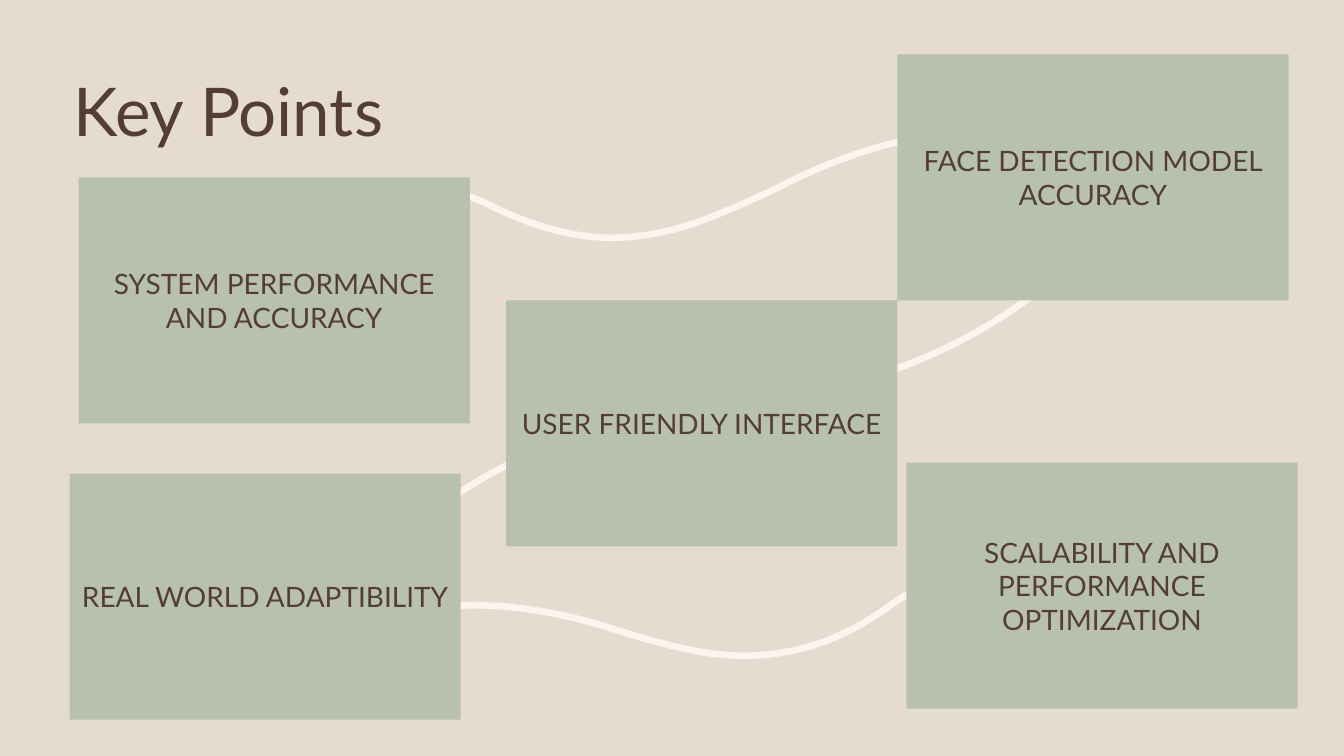
"""Build the Key Points slide: five cards linked by flowing curves."""
from pptx import Presentation
from pptx.dml.color import RGBColor
from pptx.enum.shapes import MSO_SHAPE as SHAPE
from pptx.enum.text import MSO_ANCHOR as ANCHOR, PP_ALIGN as ALIGN
from pptx.oxml.ns import qn
from pptx.util import Inches, Pt
from lxml.etree import SubElement

TITLE = "Key Points"
CARDS = [
    ("SYSTEM PERFORMANCE AND ACCURACY", 0.78, 1.76),
    ("FACE DETECTION MODEL ACCURACY", 8.9, 0.54),
    ("USER FRIENDLY INTERFACE", 5.02, 2.98),
    ("REAL WORLD ADAPTIBILITY", 0.69, 4.7),
    ("SCALABILITY AND PERFORMANCE OPTIMIZATION", 8.99, 4.59),
]
CARD_W, CARD_H = 3.88, 2.44
CURVES = [
    [(8.33, 3.83), (9.13, 3.63), (9.85, 3.27), (10.47, 2.75)],
    [(5.84, 4.28), (5.09, 4.52), (4.45, 4.9), (3.89, 5.39)],
    [(3.07, 2.23), (3.5, 1.87), (3.98, 1.77), (4.49, 1.9),
     (4.66, 1.94), (4.81, 2.01), (4.97, 2.09),
     (5.3, 2.24), (5.65, 2.35), (6.04, 2.36),
     (6.37, 2.36), (6.7, 2.29), (7.01, 2.17),
     (7.37, 2.03), (7.57, 1.93), (7.78, 1.83),
     (8.01, 1.71), (9.4, 1.03), (10.27, 1.46)],
    [(9.2, 5.79), (9.04, 5.86), (8.91, 5.95), (8.77, 6.05),
     (8.48, 6.25), (8.15, 6.41), (7.78, 6.47),
     (7.46, 6.53), (7.14, 6.51), (6.81, 6.44),
     (6.45, 6.36), (6.24, 6.29), (6.02, 6.22),
     (5.78, 6.15), (4.34, 5.7), (3.47, 6.36)],
]
COLORS = {"back": "E6DBD0", "card": "B8C0B0", "curve": "FEF3ED", "text": "543E34"}
FONT = "Lato"


def color(name):
    return RGBColor.from_string(COLORS[name])


def write(sp, text, size, align):
    tf = sp.text_frame
    tf.word_wrap = True
    tf.vertical_anchor = ANCHOR.MIDDLE
    tf.text = text
    p = tf.paragraphs[0]
    p.alignment = align
    font = p.runs[0].font
    font.name, font.size = FONT, Pt(size)
    font.color.rgb = color("text")
    return p


def add_curve(s, points):
    start, *rest = [(Inches(x), Inches(y)) for x, y in points]
    builder = s.shapes.build_freeform(*start)
    builder.add_line_segments(rest, close=False)
    sp = builder.convert_to_shape()
    path = next(sp.element.iter(qn("a:path")))
    segments = path.findall(qn("a:lnTo"))
    for i in range(0, len(segments), 3):
        bezier = SubElement(path, qn("a:cubicBezTo"))
        for segment in segments[i:i + 3]:
            bezier.append(segment[0])
            path.remove(segment)
    sp.shadow.inherit = False
    sp.fill.background()
    sp.line.color.rgb = color("curve")
    sp.line.width = Pt(4.75)


def add_card(s, text, left, top):
    sp = s.shapes.add_shape(SHAPE.RECTANGLE, *map(Inches, (left, top, CARD_W, CARD_H)))
    sp.shadow.inherit = False
    sp.fill.solid()
    sp.fill.fore_color.rgb = color("card")
    sp.line.fill.background()
    write(sp, text, 20, ALIGN.CENTER)


def main():
    prs = Presentation()
    prs.slide_width, prs.slide_height = Inches(13.33), Inches(7.5)
    s = prs.slides.add_slide(prs.slide_layouts[6])
    s.background.fill.solid()
    s.background.fill.fore_color.rgb = color("back")
    for points in CURVES:
        add_curve(s, points)
    title = s.shapes.add_textbox(*map(Inches, (0.63, 0.77, 10, 0.74)))
    write(title, TITLE, 48, ALIGN.LEFT).line_spacing = 0.9
    for card in CARDS:
        add_card(s, *card)
    prs.save("out.pptx")


if __name__ == "__main__":
    main()
